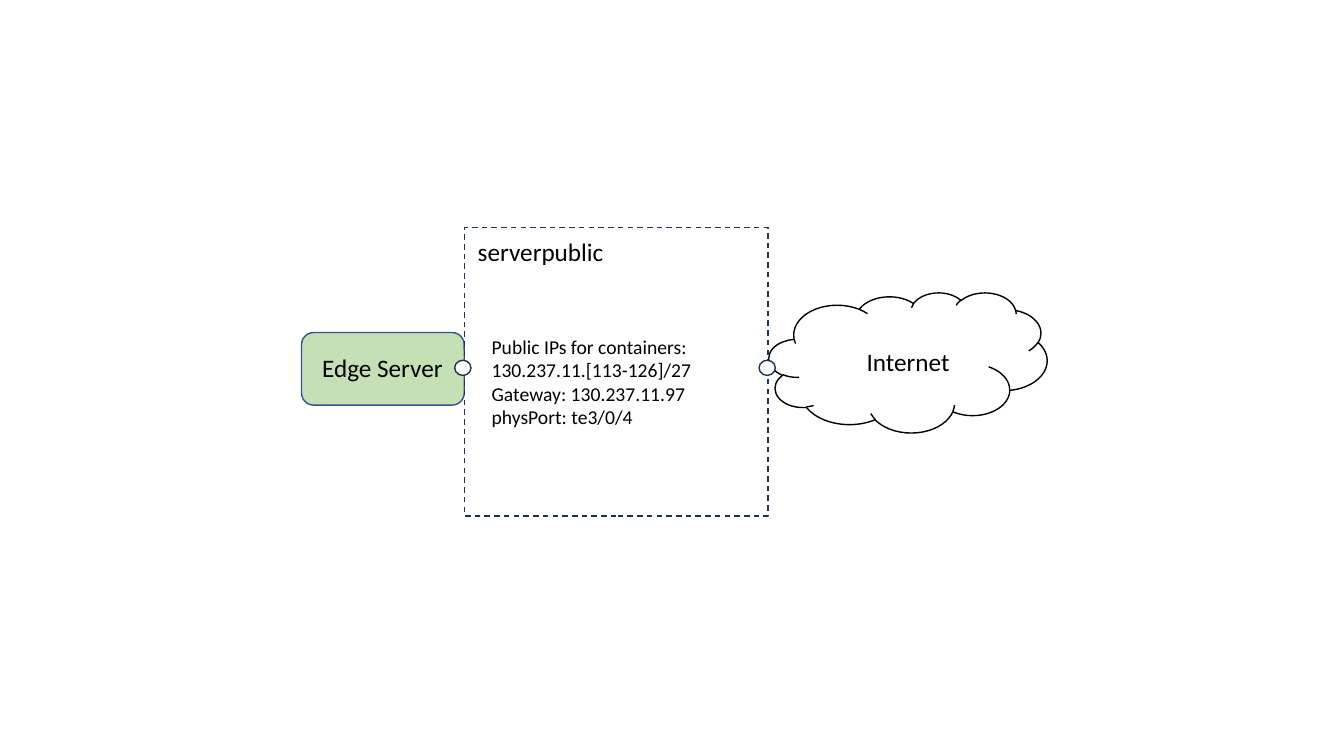
"""Draw the network link from an edge server to the Internet."""
from pptx import Presentation
from pptx.dml.color import RGBColor
from pptx.enum.dml import MSO_LINE
from pptx.enum.shapes import MSO_SHAPE
from pptx.enum.text import MSO_AUTO_SIZE
from pptx.util import Cm, Pt

HUES = {"green": "C5E0B4", "blue": "325491", "navy": "1E3256",
        "black": "000000", "white": "FFFFFF"}


def color(name):
    return RGBColor.from_string(HUES[name])


def add_form(slide, kind, box, line, fill=None, dash=None):
    form = slide.shapes.add_shape(kind, *map(Cm, box))
    form.shadow.inherit = False
    if fill:
        form.fill.solid()
        form.fill.fore_color.rgb = color(fill)
    else:
        form.fill.background()
    form.line.color.rgb = color(line)
    form.line.width = Pt(1)
    if dash:
        form.line.dash_style = dash


def add_label(slide, box, lines, size=18, wrap=False):
    frame = slide.shapes.add_textbox(*map(Cm, box)).text_frame
    frame.word_wrap = wrap
    frame.auto_size = MSO_AUTO_SIZE.SHAPE_TO_FIT_TEXT
    frame.text = "\n".join(lines)
    for para in frame.paragraphs:
        para.font.name = "Calibri"
        para.font.size = Pt(size)
        para.font.color.rgb = color("black")


def main():
    deck = Presentation()
    deck.slide_width, deck.slide_height = Cm(33.87), Cm(19.05)
    slide = deck.slides.add_slide(deck.slide_layouts[6])

    add_form(slide, MSO_SHAPE.ROUNDED_RECTANGLE, (7.6, 8.38, 4.1, 1.83), "blue", "green")
    add_label(slide, (7.87, 8.76, 3.58, 1.02), ["Edge Server"])
    add_form(slide, MSO_SHAPE.CLOUD, (19.38, 7.37, 7.01, 3.53), "black")
    add_label(slide, (21.59, 8.61, 2.62, 1.02), ["Internet"], wrap=True)
    add_form(slide, MSO_SHAPE.RECTANGLE, (11.71, 5.74, 7.65, 7.26), "navy",
             dash=MSO_LINE.DASH)
    add_label(slide, (11.79, 5.84, 3.71, 1.02), ["serverpublic"])
    for left in (11.46, 19.13):
        add_form(slide, MSO_SHAPE.FLOWCHART_CONNECTOR, (left, 9.08, 0.41, 0.38),
                 "navy", "white")
    add_label(slide, (12.14, 8.31, 5.59, 2.64), [
        "Public IPs for containers:",
        "130.237.11.[113-126]/27",
        "Gateway: 130.237.11.97",
        "physPort: te3/0/4",
    ], size=14)

    deck.save("out.pptx")


if __name__ == "__main__":
    main()
